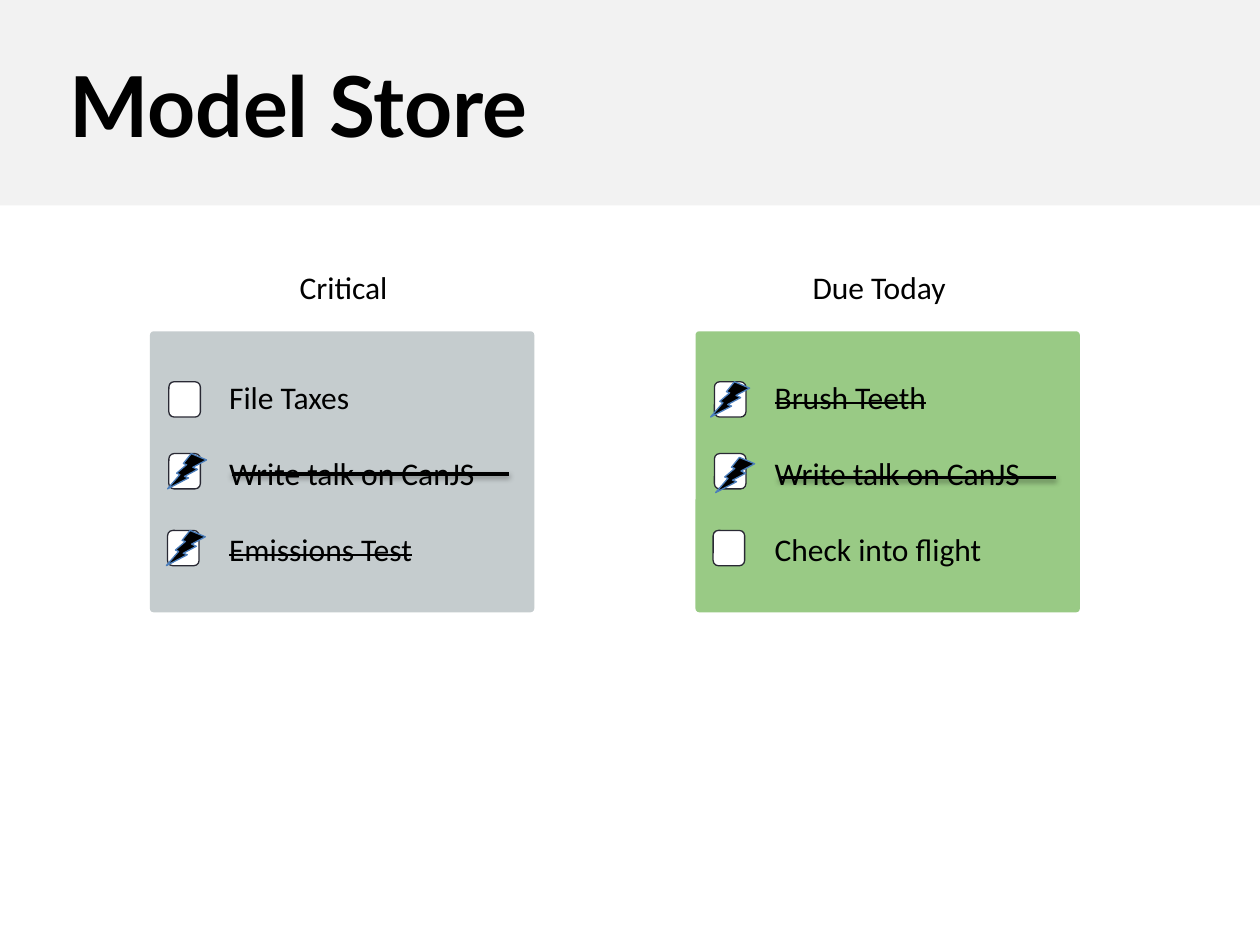
from lxml.etree import SubElement
from pptx import Presentation
from pptx.dml.color import RGBColor
from pptx.enum.shapes import MSO_CONNECTOR, MSO_SHAPE
from pptx.oxml.ns import qn
from pptx.util import Inches, Pt

HUES = {"band": "F2F2F2", "ink": "000000", "white": "FFFFFF", "edge": "292934",
        "blue": "4B7EBC", "gray": "C5CCCE", "green": "99CA85"}
LISTS = [
    ("Critical", 1.19, 1.09, 0.97, "gray", 3.76, 0.65,
     ["File Taxes", "Write talk on CanJS", "Emissions Test"], 2,
     [(0.14, 3.6), (0.13, 4.21)]),
    ("Due Today", 5.52, 0.83, 1.41, "green", 3.79, 0.66,
     ["Brush Teeth", "Write talk on CanJS", "Check into flight"], 0,
     [(0.12, 3.03), (0.16, 3.63)]),
]
BOXES = [(0.15, 3.03), (0.15, 3.6), (0.14, 4.21)]


def add_form(kind, x, y, w, h, fill, edge=None):
    form = slide.shapes.add_shape(kind, Inches(x), Inches(y), Inches(w), Inches(h))
    form.shadow.inherit = False
    form.fill.solid()
    form.fill.fore_color.rgb = RGBColor.from_string(HUES[fill])
    if edge:
        form.line.color.rgb = RGBColor.from_string(HUES[edge])
        form.line.width = Pt(0.75)
    else:
        form.line.fill.background()
    return form


def add_text(lines, x, y, w, h, size=18, face="Calibri", bold=False):
    frame = slide.shapes.add_textbox(Inches(x), Inches(y), Inches(w), Inches(h)).text_frame
    frame.word_wrap = True
    frame.text = "\n".join(lines)
    for para in frame.paragraphs:
        font = para.runs[0].font
        font.size = Pt(size)
        font.name = face
        font.bold = bold
        font.color.rgb = RGBColor.from_string(HUES["ink"])
    return frame


deck = Presentation()
deck.slide_width, deck.slide_height = Inches(10), Inches(7.5)
slide = deck.slides.add_slide(deck.slide_layouts[6])

add_form(MSO_SHAPE.RECTANGLE, 0, 0, 10, 1.63, "band")
title = add_text(["Model Store"], 0.46, 0.38, 9.15, 0.83, 48, "Lato", True)
title.margin_left = title.margin_right = Inches(0.09)
title.margin_top = title.margin_bottom = Inches(0.04)
title.paragraphs[0].line_spacing = 1.01

for name, left, shift, wide, hue, rule, start, tasks, done, bolts in LISTS:
    add_text([name], left + shift, 2.08, wide, 0.4)
    card = add_form(MSO_SHAPE.ROUNDED_RECTANGLE, left, 2.63, 3.05, 2.23, hue)
    card.adjustments[0] = 0.013

    frame = add_text(tasks, left + 0.53, 2.95, 2.43, 1.92)
    for para in frame.paragraphs[1:]:
        para.space_before = Pt(22)
    struck = frame.paragraphs[done].runs[0]
    struck.font._element.set("strike", "sngStrike")

    for x, y in BOXES:
        add_form(MSO_SHAPE.ROUNDED_RECTANGLE, left + x, y, 0.25, 0.28, "white", "edge")

    line = slide.shapes.add_connector(
        MSO_CONNECTOR.STRAIGHT, Inches(left + start), Inches(rule),
        Inches(left + start + 2.2), Inches(rule))
    line.line.color.rgb = RGBColor.from_string(HUES["ink"])
    line.line.width = Pt(2)
    glow = SubElement(line._element.spPr, qn("a:effectLst"))
    shade = SubElement(glow, qn("a:outerShdw"), blurRad=str(Pt(3.1)),
                       dist=str(Pt(1.6)), dir="5400000", rotWithShape="0")
    tint = SubElement(shade, qn("a:srgbClr"), val=HUES["ink"])
    SubElement(tint, qn("a:alpha"), val="38000")

    for x, y in bolts:
        bolt = add_form(MSO_SHAPE.LIGHTNING_BOLT, left + x, y, 0.31, 0.28, "ink", "blue")
        bolt._element.spPr.find(qn("a:xfrm")).set("flipH", "1")

deck.save("out.pptx")
